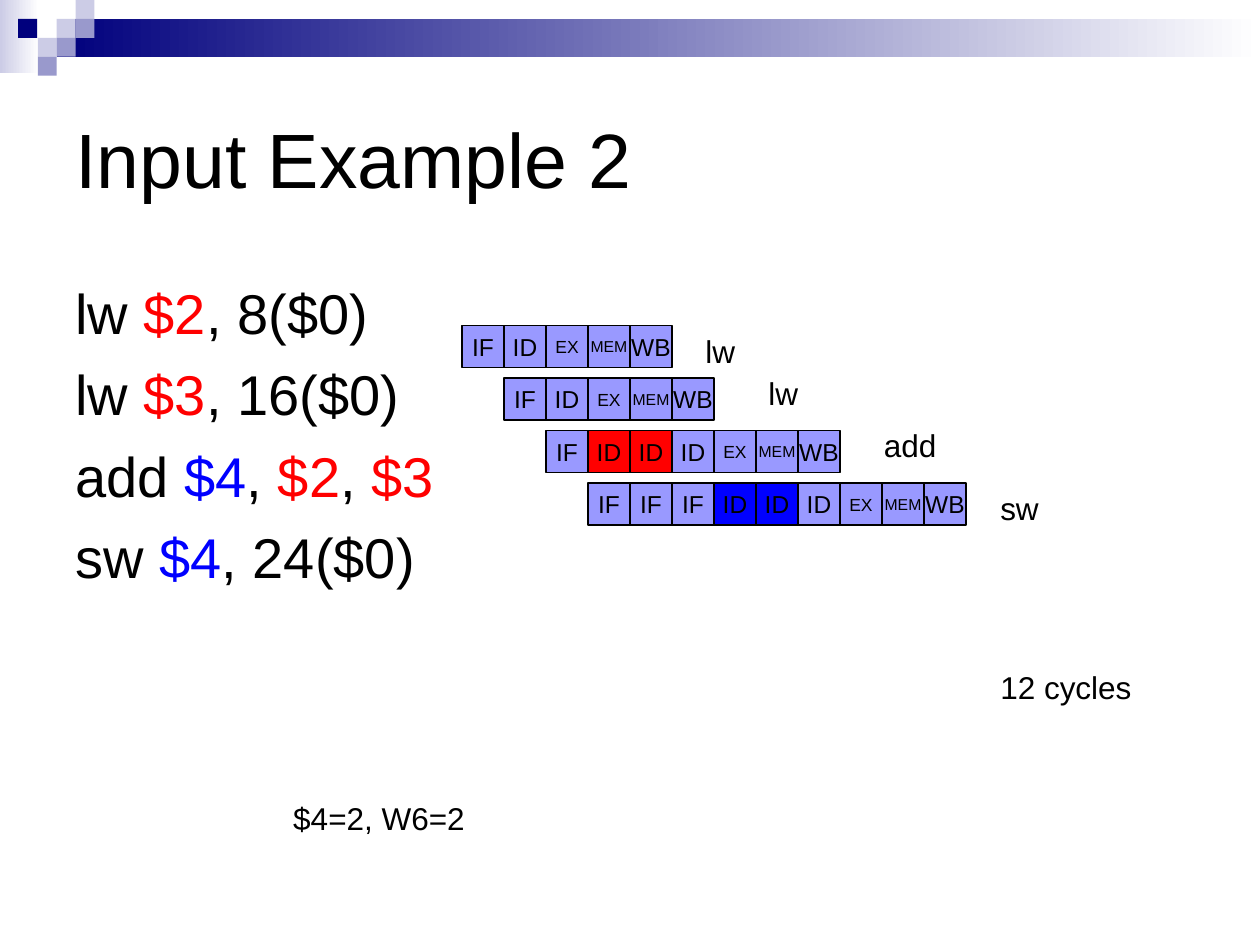
from pptx import Presentation
from pptx.dml.color import RGBColor
from pptx.enum.shapes import MSO_SHAPE
from pptx.enum.text import MSO_ANCHOR, MSO_AUTO_SIZE, PP_ALIGN
from pptx.util import Pt

RECT = MSO_SHAPE.RECTANGLE
TOP, MIDDLE = MSO_ANCHOR.TOP, MSO_ANCHOR.MIDDLE
LEFT, CENTER = PP_ALIGN.LEFT, PP_ALIGN.CENTER
FIXED, GROW = MSO_AUTO_SIZE.NONE, MSO_AUTO_SIZE.SHAPE_TO_FIT_TEXT

BLACK, RED, BLUE = "000000", "FF0000", "0000FF"
NAVY, PALE, MID, WHITE = "00007D", "CCCCE6", "9999CC", "FFFFFF"
LILAC = "9999FF"

TITLE = "Input Example 2"
CODE = [
    [("lw ", BLACK), ("$2", RED), (", 8($0)", BLACK)],
    [("lw ", BLACK), ("$3", RED), (", 16($0)", BLACK)],
    [("add ", BLACK), ("$4", BLUE), (", ", BLACK), ("$2", RED),
     (", ", BLACK), ("$3", RED)],
    [("sw ", BLACK), ("$4", BLUE), (", 24($0)", BLACK)],
]

# Stages of each instruction, its stalled positions and their colour
ROWS = [
    ("IF ID EX MEM WB", (), LILAC),
    ("IF ID EX MEM WB", (), LILAC),
    ("IF ID ID ID EX MEM WB", (1, 2), RED),
    ("IF IF IF ID ID ID EX MEM WB", (3, 4), BLUE),
]
SIZES = {"EX": 10, "MEM": 9}
CELL, PITCH = 24, 30
GRID_X, GRID_Y = 264, 186

# Text, left, top, width
LABELS = [
    ("lw", 396, 186, 32),
    ("lw", 432, 210, 32),
    ("add", 498, 240, 45),
    ("sw", 564.5, 276, 37),
    ("12 cycles", 564.5, 378, 90),
    ("$4=2, W6=2", 160.5, 453, 113),
]

# Left, top, width, height, start colour of each fading band
BANDS = [(0, 0, 22.3, 41.8, PALE), (32.4, 10.8, 687.6, 21.6, NAVY)]
TILE = 10.8
# Left, top, colour of each corner tile
TILES = [
    (32.4, 10.8, PALE), (43.2, 0, PALE), (43.2, 10.8, MID),
    (21.6, 21.6, PALE), (10.4, 10.8, NAVY), (32.4, 21.6, MID),
    (21.6, 32.4, MID),
]


def color(code):
    return RGBColor.from_string(code)


def write(shape, lines, size=18, align=LEFT, anchor=TOP, wrap=False,
          fit=FIXED, before=0, pitch=None, hang=0):
    """Fill a shape with lines, each a list of (text, colour) runs."""
    frame = shape.text_frame
    frame.word_wrap = wrap
    frame.auto_size = fit
    frame.vertical_anchor = anchor
    for i, runs in enumerate(lines):
        para = frame.paragraphs[0] if i == 0 else frame.add_paragraph()
        para.alignment = align
        para.space_before = Pt(before)
        if pitch:
            para.line_spacing = Pt(pitch)
        if hang:
            props = para._p.get_or_add_pPr()
            props.set("marL", str(Pt(hang)))
            props.set("indent", str(-Pt(hang)))
        for text, code in runs:
            run = para.add_run()
            run.text = text
            run.font.name = "Arial"
            run.font.size = Pt(size)
            run.font.color.rgb = color(code)


def add_rect(slide, x, y, w, h, fill, fade=None, line=None):
    shape = slide.shapes.add_shape(RECT, Pt(x), Pt(y), Pt(w), Pt(h))
    shape.shadow.inherit = False
    if fade:
        shape.fill.gradient()
        shape.fill.gradient_angle = 0
        for stop, code in zip(shape.fill.gradient_stops, (fill, fade)):
            stop.color.rgb = color(code)
    else:
        shape.fill.solid()
        shape.fill.fore_color.rgb = color(fill)
    if line:
        shape.line.color.rgb = color(line)
        shape.line.width = Pt(0.75)
    else:
        shape.line.fill.background()
    return shape


def add_box(slide, x, y, w, h):
    return slide.shapes.add_textbox(Pt(x), Pt(y), Pt(w), Pt(h))


def main():
    deck = Presentation()
    deck.slide_width, deck.slide_height = Pt(720), Pt(540)
    slide = deck.slides.add_slide(deck.slide_layouts[6])

    for x, y, w, h, start in BANDS:
        add_rect(slide, x, y, w, h, start, fade=WHITE)
    for x, y, code in TILES:
        add_rect(slide, x, y, TILE, TILE, code)

    write(add_box(slide, 36, 36, 648, 108), [[(TITLE, BLACK)]],
          size=44, anchor=MIDDLE, wrap=True)
    write(add_box(slide, 36, 156, 648, 306), CODE,
          size=32, wrap=True, before=8, pitch=38.3, hang=27)

    for row, (stages, stalls, tint) in enumerate(ROWS):
        for col, stage in enumerate(stages.split()):
            fill = tint if col in stalls else LILAC
            cell = add_rect(slide, GRID_X + (row + col) * CELL,
                            GRID_Y + row * PITCH, CELL, CELL, fill,
                            line=BLACK)
            write(cell, [[(stage, BLACK)]], size=SIZES.get(stage, 14),
                  align=CENTER, anchor=MIDDLE)

    for text, x, y, w in LABELS:
        write(add_box(slide, x, y, w, 29), [[(text, BLACK)]], fit=GROW)

    deck.save("out.pptx")


if __name__ == "__main__":
    main()
